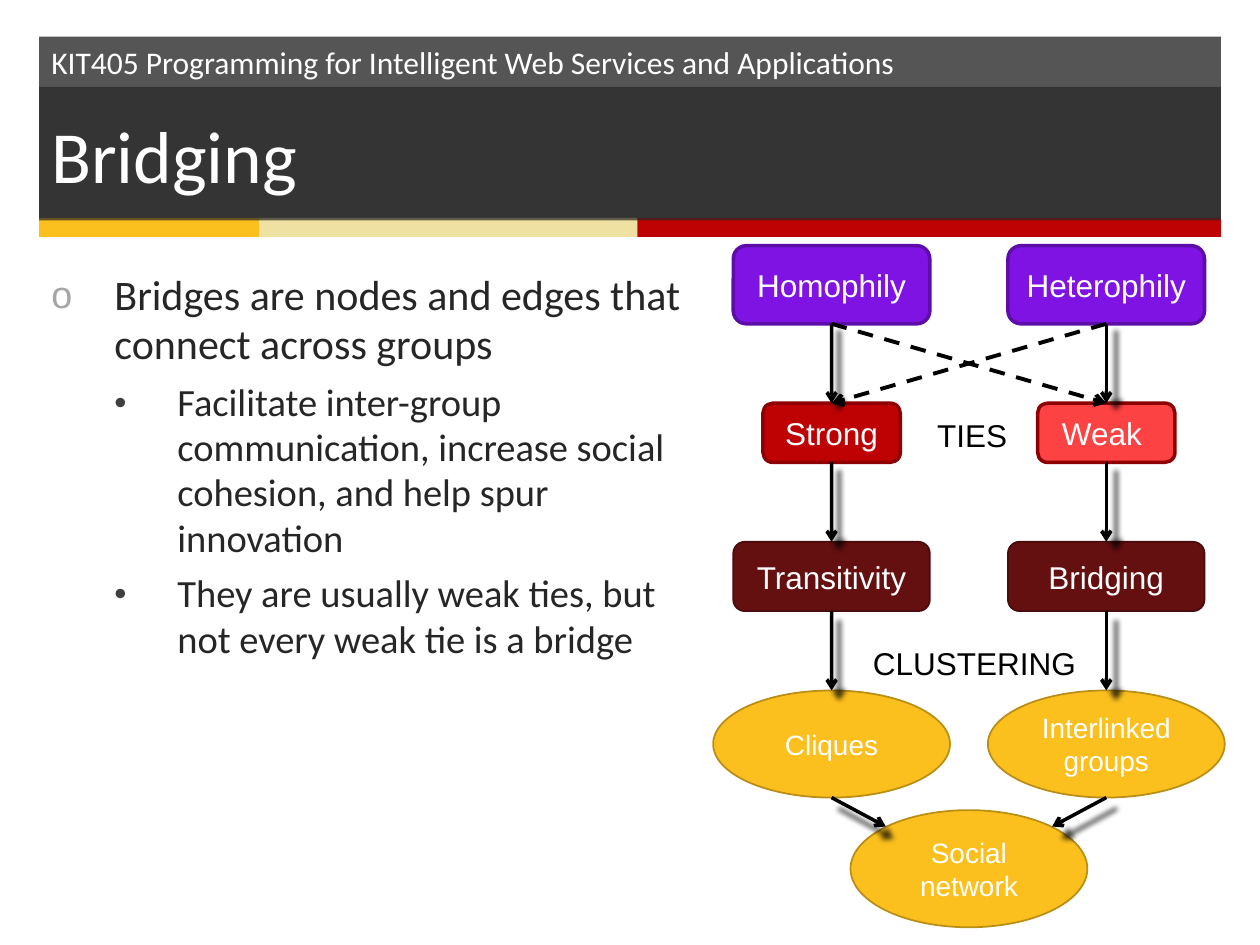
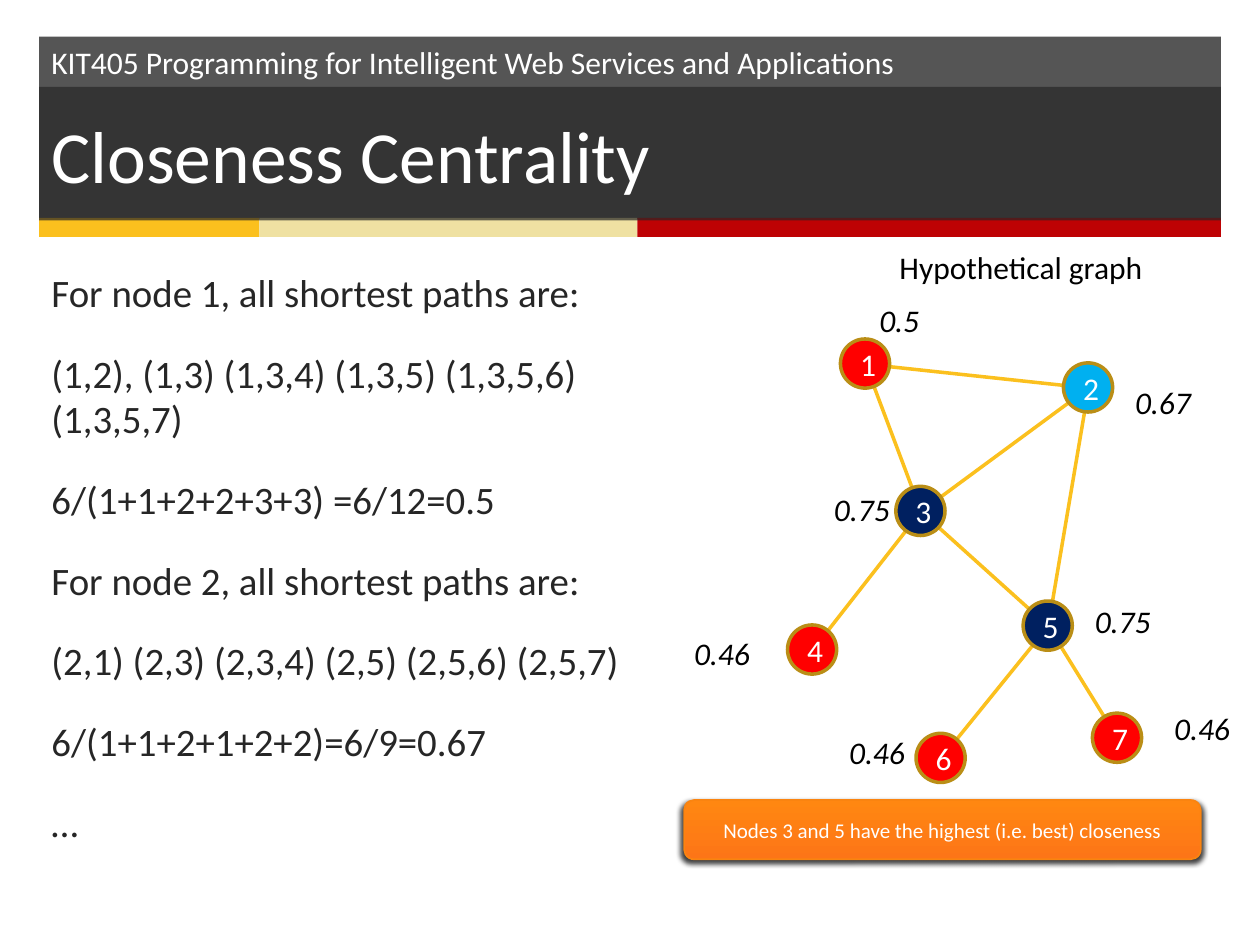
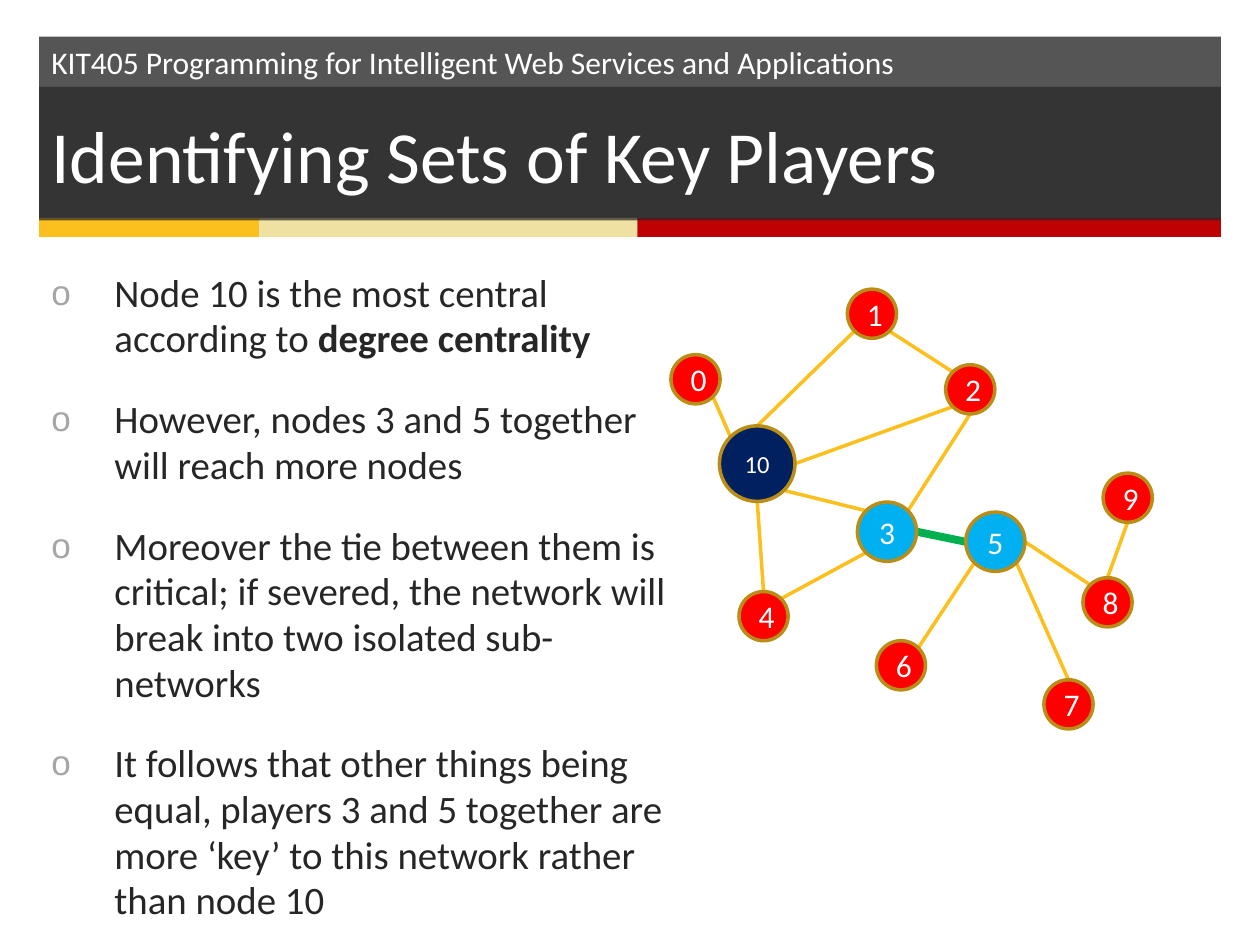
from math import cos, pi, sin
from lxml.etree import SubElement
from pptx import Presentation
from pptx.dml.color import RGBColor
from pptx.enum.dml import MSO_LINE
from pptx.enum.shapes import MSO_CONNECTOR, MSO_SHAPE
from pptx.enum.text import MSO_ANCHOR, PP_ALIGN
from pptx.oxml.ns import qn
from pptx.util import Inches, Pt

HUES = {
    "white": "FFFFFF", "black": "000000", "band": "0D0D0D", "ink": "262626",
    "gold": "FBC01E", "rim": "BA8E16", "cream": "EFE1A2", "red": "BE0204",
    "wine": "8D0103", "rose": "FD4244", "plum": "7E13E3", "grape": "5D0EA8",
    "brick": "640F10", "bark": "4A0B0C", "hot": "FF0000", "sky": "00B0F0",
    "navy": "002060", "green": "00B050", "flame": "FD7517", "amber": "FF8711",
    "rust": "FA8410", "mute": "A6A6A6", "coal": "404040",
}
RGB = {name: RGBColor.from_string(code) for name, code in HUES.items()}
RECT, ROUND, OVAL = MSO_SHAPE.RECTANGLE, MSO_SHAPE.ROUNDED_RECTANGLE, MSO_SHAPE.OVAL


def box(slide, kind, at, fill=None, edge=None, width=1, text="", size=18,
        face="Calibri", tint="white", align=PP_ALIGN.CENTER, slant=None):
    place = [Inches(v) for v in at]
    if kind is None:
        shape = slide.shapes.add_textbox(*place)
        align = PP_ALIGN.LEFT
    else:
        shape = slide.shapes.add_shape(kind, *place)
        shape.shadow.inherit = False
        shape.fill.solid()
        shape.fill.fore_color.rgb = RGB[fill]
        if edge:
            shape.line.color.rgb = RGB[edge]
            shape.line.width = Pt(width)
        else:
            shape.line.fill.background()
        shape.text_frame.vertical_anchor = MSO_ANCHOR.MIDDLE
    shape.text_frame.word_wrap = True
    if text:
        para = shape.text_frame.paragraphs[0]
        para.text = text
        para.alignment = align
        para.font.name, para.font.size = face, Pt(size)
        para.font.color.rgb = RGB[tint]
        para.font.italic = slant
    return shape


def link(slide, start, end, tint="gold", width=2):
    ends = [Inches(v) for v in (*start, *end)]
    line = slide.shapes.add_connector(MSO_CONNECTOR.STRAIGHT, *ends)
    line.line.color.rgb = RGB[tint]
    line.line.width = Pt(width)
    SubElement(line._element.spPr, qn("a:effectLst"))
    return line


deck = Presentation()
deck.slide_width, deck.slide_height = Inches(10), Inches(7.5)

pages = [
    ("Bridging", 5.35, 24, [
        ("o", "Bridges are nodes and edges that connect across groups"),
        ("•", "Facilitate inter-group communication, increase social cohesion, and help spur innovation"),
        ("•", "They are usually weak ties, but not every weak tie is a bridge"),
    ]),
    ("Closeness Centrality", 5.02, 22.2, [
        ("", "For node 1, all shortest paths are:"),
        ("", "(1,2), (1,3) (1,3,4) (1,3,5) (1,3,5,6) (1,3,5,7)"),
        ("", "6/(1+1+2+2+3+3) =6/12=0.5"),
        ("", "For node 2, all shortest paths are:"),
        ("", "(2,1) (2,3) (2,3,4) (2,5) (2,5,6) (2,5,7)"),
        ("", "6/(1+1+2+1+2+2)=6/9=0.67"),
        ("", "…"),
    ]),
    ("Identifying Sets of Key Players", 5.08, 22.2, [
        ("o", "Node 10 is the most central according to |degree centrality"),
        ("o", "However, nodes 3 and 5 together will reach more nodes"),
        ("o", "Moreover the tie between them is critical; if severed, the network will break into two isolated sub-networks"),
        ("o", "It follows that other things being equal, players 3 and 5 together are more ‘key’ to this network rather than node 10"),
    ]),
]
marks = {"o": (0.5, "mute"), "•": (1, "coal")}

slides = []
for title, wide, size, lines in pages:
    slide = deck.slides.add_slide(deck.slide_layouts[6])
    slides.append(slide)
    band = box(slide, RECT, (0.31, 0.29, 9.38, 1.45), "band")
    for left, width, fill in [(0.31, 1.75, "gold"), (2.06, 3, "cream"), (5.06, 4.63, "red")]:
        box(slide, RECT, (left, 1.73, width, 0.15), fill)
    box(slide, None, (0.31, 0.29, 8.14, 0.4),
        text="KIT405 Programming for Intelligent Web Services and Applications")
    head = box(slide, RECT, (0.31, 0.69, 9.38, 1.06), "ink", text=title, size=42,
               align=PP_ALIGN.LEFT)
    for shape in (band, head):
        tone = shape._element.spPr.find(qn("a:solidFill"))[0]
        SubElement(tone, qn("a:alpha"), val="70000")
    frame = box(slide, None, (0.31, 2.1, wide, 4.64)).text_frame
    for i, (mark, text) in enumerate(lines):
        para = frame.add_paragraph() if i else frame.paragraphs[0]
        plain, _, bold = text.partition("|")
        para.add_run().text = plain
        if bold:
            run = para.add_run()
            run.text = bold
            run.font.bold = True
        if mark:
            indent, tint = marks[mark]
            props = para._p.get_or_add_pPr()
            props.set("marL", str(Inches(indent)))
            props.set("indent", str(-Inches(0.5)))
            tone = SubElement(props, qn("a:buClr"))
            SubElement(tone, qn("a:srgbClr"), val=HUES[tint])
            SubElement(props, qn("a:buSzPct"), val="90000")
            SubElement(props, qn("a:buFont"), typeface="Arial")
            SubElement(props, qn("a:buChar"), char=mark)
        sub = mark == "•"
        para.level = int(sub)
        para.line_spacing = 0.98
        para.space_before = Pt(6 if sub else 20)
        para.font.name, para.font.size = "Calibri", Pt(22 if sub else size)
        para.font.color.rgb = RGB["ink"]

cast = []

slide = slides[0]
rows = [
    (ROUND, 1.95, 1.56, 0.62, ("plum", "plum"), "grape", 2, 18, ("Homophily", "Heterophily")),
    (ROUND, 3.2, 1.09, 0.47, ("red", "rose"), "wine", 2, 18, ("Strong", "Weak ")),
    (ROUND, 4.3, 1.56, 0.55, ("brick", "brick"), "bark", 1, 18, ("Transitivity", "Bridging")),
    (OVAL, 5.48, 1.88, 0.85, ("gold", "gold"), "rim", 1, 16, ("Cliques", "Interlinked groups")),
]
mids = (6.6, 8.78)
grid = []
for kind, top, width, high, fills, edge, thick, size, names in rows:
    grid.append([box(slide, kind, (mid - width / 2, top, width, high), fill, edge, thick,
                     name, size, "Arial") for mid, fill, name in zip(mids, fills, names)])
box(slide, OVAL, (6.75, 6.43, 1.88, 0.93), "gold", "rim", 1, "Social network", 16, "Arial")
box(slide, None, (6.83, 5.06, 1.9, 0.4), text="CLUSTERING", face="Arial", tint="black")
box(slide, None, (7.34, 3.25, 0.8, 0.4), text="TIES", face="Arial", tint="black")

arrows = []
for upper, lower in zip(grid, grid[1:]):
    for i in range(2):
        line = link(slide, (0, 0), (1, 1), "black")
        line.begin_connect(upper[i], 2)
        line.end_connect(lower[i], 0)
        arrows.append(line)
for mid, tip in zip(mids, (7.03, 8.35)):
    arrows.append(link(slide, (mid, 6.33), (tip, 6.56), "black"))
cast += arrows
for i in range(2):
    line = link(slide, (0, 0), (1, 1), "black", 2.25)
    line.begin_connect(grid[0][i], 2)
    line.end_connect(grid[1][1 - i], 0)
    line.line.dash_style = MSO_LINE.DASH
    arrows.append(line)
for line in arrows:
    SubElement(line._element.spPr.find(qn("a:ln")), qn("a:tailEnd"), type="arrow")

slide = slides[1]
nodes = {
    1: (6.87, 2.89, "hot"), 2: (8.64, 3.08, "sky"), 3: (7.31, 4.06, "navy"),
    4: (6.45, 5.16, "hot"), 5: (8.32, 4.97, "navy"), 6: (7.47, 6.02, "hot"),
    7: (8.87, 5.86, "hot"),
}
for a, b in [(7, 5), (5, 2), (6, 5), (3, 2), (5, 3), (4, 3), (1, 2), (1, 3)]:
    link(slide, nodes[a][:2], nodes[b][:2])
for name, (x, y, fill) in nodes.items():
    box(slide, OVAL, (x - 0.2, y - 0.2, 0.39, 0.39), fill, "rim", 2, str(name))
scores = [
    (6.88, 2.34, "0.5"), (8.91, 2.99, "0.67"), (6.52, 3.84, "0.75"), (5.41, 4.98, "0.46"),
    (8.59, 4.73, "0.75"), (6.64, 5.77, "0.46"), (9.22, 5.58, "0.46"),
]
for left, top, score in scores:
    box(slide, None, (left, top, 0.75, 0.4), text=score, tint="black", slant=True)
box(slide, None, (7.04, 1.92, 2.2, 0.4), text="Hypothetical graph", tint="black")
note = box(slide, ROUND, (5.43, 6.35, 4.1, 0.47), "flame", "rust", 1,
           "Nodes 3 and 5 have the highest (i.e. best) closeness", 12)
note.fill.gradient()
note.fill.gradient_angle = 90
for stop, tint in zip(note.fill.gradient_stops, ("flame", "amber")):
    stop.color.rgb = RGB[tint]
cast.append(note)

for shape in cast:
    glow = SubElement(shape._element.spPr.find(qn("a:effectLst")), qn("a:outerShdw"),
                      blurRad=str(Pt(3)), dist=str(Pt(2)), dir="6600000",
                      sx="101000", sy="101000", rotWithShape="0")
    tone = SubElement(glow, qn("a:srgbClr"), val=HUES["black"])
    SubElement(tone, qn("a:alpha"), val="75000")

slide = slides[2]
nodes = {
    0: (5.52, 3.01, 0.39, "hot"), 1: (6.92, 2.49, 0.39, "hot"), 2: (7.7, 3.09, 0.39, "hot"),
    3: (7.04, 4.22, 0.47, "sky"), 4: (6.06, 4.89, 0.39, "hot"), 5: (7.9, 4.3, 0.47, "sky"),
    6: (7.15, 5.28, 0.39, "hot"), 7: (8.48, 5.59, 0.39, "hot"), 8: (8.79, 4.78, 0.39, "hot"),
    9: (8.95, 3.95, 0.39, "hot"), 10: (6.01, 3.68, 0.6, "navy"),
}
edges = [
    (5, 5, 7, 0), (6, 7, 5, 3), (3, 7, 2, 4), (4, 7, 3, 3), (1, 5, 2, 1), (8, 1, 5, 6),
    (9, 4, 8, 0), (1, 3, 10, 0), (2, 3, 10, 6), (3, 1, 10, 5), (4, 0, 10, 4), (0, 5, 10, 1),
    (3, 6, 5, 2),
]
for a, exit, b, entry in edges:
    ends = []
    for name, site in ((a, exit), (b, entry)):
        x, y, size, _ = nodes[name]
        turn = site * pi / 4
        ends.append((x - size / 2 * sin(turn), y - size / 2 * cos(turn)))
    key = (a, b) == (3, 5)
    link(slide, *ends, "green" if key else "gold", 4.5 if key else 2)
for name, (x, y, size, fill) in nodes.items():
    box(slide, OVAL, (x - size / 2, y - size / 2, size, size), fill, "rim", 2, str(name),
        14 if name == 10 else 18)

deck.save("out.pptx")
